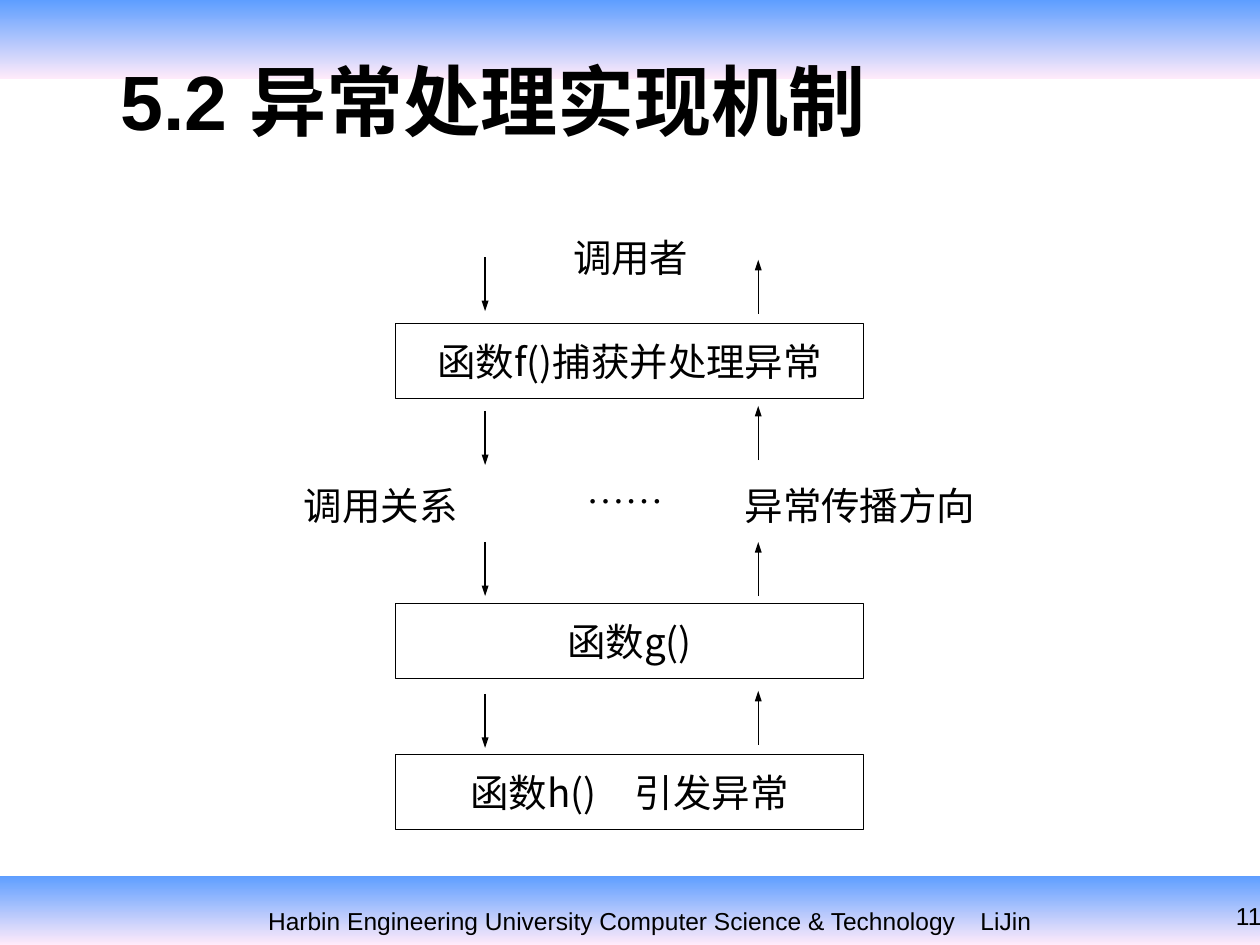
"""Build the slide on how exceptions travel back along a chain of function calls."""
from dataclasses import dataclass

from lxml.etree import SubElement
from pptx import Presentation
from pptx.dml.color import RGBColor
from pptx.enum.shapes import MSO_CONNECTOR, MSO_SHAPE
from pptx.enum.text import MSO_ANCHOR, PP_ALIGN
from pptx.oxml.ns import qn
from pptx.util import Pt


@dataclass(frozen=True)
class Theme:
    ink: RGBColor = RGBColor(0x00, 0x00, 0x00)
    band_top: RGBColor = RGBColor(0x5E, 0x9E, 0xFF)
    band_bottom: RGBColor = RGBColor(0xFF, 0xEB, 0xFA)
    latin: str = "Arial"
    chinese: str = "Noto Sans CJK SC"
    serif: str = "Times New Roman"
    title_size: float = 44
    body_size: float = 22
    footer_size: float = 14
    line_width: float = 0.75


THEME = Theme()
SLIDE_WIDTH, SLIDE_HEIGHT = 720, 540

TITLE = "5.2 异常处理实现机制"
FOOTER = "Harbin Engineering University Computer Science & Technology　LiJin"
PAGE_NUMBER = "11"
BANDS = [(0, 45.3), (500.4, 39.6)]

FUNCTIONS = [
    ("函数f()捕获并处理异常", 185),
    ("函数g()", 345),
    ("函数h()　引发异常", 431.3),
]
LABELS = [
    ("调用者", (298.8, 133.2, 123.1, 28)),
    ("调用关系", (156, 274.5, 123.1, 28)),
    ("异常传播方向", (424.8, 274.5, 133.2, 28)),
]
ELLIPSIS = ("……", (241.2, 262.8, 231.8, 32.4))

BOX_LEFT, BOX_WIDTH, BOX_HEIGHT = 226.2, 267.2, 42.7
CALL_X, CALL_TOPS = 277.2, [146.9, 234.8, 309.7, 396.5]
THROW_X, THROW_TOPS = 433.3, [148.5, 232, 309.8, 394.8]
ARROW_LENGTH = 30.9


def write_text(shape, text, *, size=THEME.body_size, font=THEME.chinese, bold=False,
               align=PP_ALIGN.CENTER, anchor=MSO_ANCHOR.MIDDLE, inset=(0, 0)):
    """Write one formatted paragraph into a shape."""
    frame = shape.text_frame
    frame.word_wrap = True
    frame.vertical_anchor = anchor
    frame.margin_left = frame.margin_right = Pt(inset[0])
    frame.margin_top = frame.margin_bottom = Pt(inset[1])
    paragraph = frame.paragraphs[0]
    paragraph.alignment = align
    run = paragraph.add_run()
    run.text = text
    run.font.size = Pt(size)
    run.font.bold = bold
    run.font.color.rgb = THEME.ink
    run.font.name = font
    east_asian = THEME.serif if font == THEME.serif else THEME.chinese
    SubElement(run.font._element, qn("a:ea"), typeface=east_asian)


def add_text(slide, text, place, **text_format):
    """Add a text box at a place given in points."""
    write_text(slide.shapes.add_textbox(*map(Pt, place)), text, **text_format)


def add_rectangle(slide, place):
    """Add a rectangle without a shadow."""
    shape = slide.shapes.add_shape(MSO_SHAPE.RECTANGLE, *map(Pt, place))
    shape.shadow.inherit = False
    return shape


def add_band(slide, top, height):
    """Add a full-width band with a vertical gradient."""
    band = add_rectangle(slide, (0, top, SLIDE_WIDTH, height))
    band.line.fill.background()
    band.fill.gradient()
    band.fill.gradient_angle = 270
    for stop, position, color in zip(band.fill.gradient_stops, (0, 1),
                                     (THEME.band_top, THEME.band_bottom)):
        stop.position = position
        stop.color.rgb = color


def add_function_box(slide, text, top):
    """Add an outlined box for one function."""
    box = add_rectangle(slide, (BOX_LEFT, top, BOX_WIDTH, BOX_HEIGHT))
    box.fill.background()
    box.line.color.rgb = THEME.ink
    box.line.width = Pt(THEME.line_width)
    write_text(box, text, inset=(7.2, 0))


def add_arrow(slide, x, start, end):
    """Add a vertical arrow pointing at its end."""
    arrow = slide.shapes.add_connector(
        MSO_CONNECTOR.STRAIGHT, Pt(x), Pt(start), Pt(x), Pt(end))
    arrow.line.color.rgb = THEME.ink
    arrow.line.width = Pt(THEME.line_width)
    SubElement(arrow.line._get_or_add_ln(), qn("a:tailEnd"),
               type="triangle", w="sm", len="med")
    SubElement(arrow._element.spPr, qn("a:effectLst"))


def main():
    """Compose and save the slide."""
    presentation = Presentation()
    presentation.slide_width = Pt(SLIDE_WIDTH)
    presentation.slide_height = Pt(SLIDE_HEIGHT)
    slide = presentation.slides.add_slide(presentation.slide_layouts[6])

    for top, height in BANDS:
        add_band(slide, top, height)
    footer_format = dict(size=THEME.footer_size, font=THEME.latin,
                         anchor=MSO_ANCHOR.TOP, inset=(7.2, 3.6))
    add_text(slide, PAGE_NUMBER, (649.4, 511.2, 78.5, 24.5),
             align=PP_ALIGN.RIGHT, **footer_format)
    add_text(slide, FOOTER, (82.1, 514.1, 578.2, 25.9), **footer_format)
    add_text(slide, TITLE, (61.9, 23.8, 637.9, 66.2), size=THEME.title_size,
             font=THEME.latin, bold=True, align=PP_ALIGN.LEFT, inset=(7.2, 3.6))

    for text, top in FUNCTIONS:
        add_function_box(slide, text, top)
    for top in CALL_TOPS:
        add_arrow(slide, CALL_X, top, top + ARROW_LENGTH)
    for top in THROW_TOPS:
        add_arrow(slide, THROW_X, top + ARROW_LENGTH, top)
    for text, place in LABELS:
        add_text(slide, text, place)
    text, place = ELLIPSIS
    add_text(slide, text, place, font=THEME.serif, inset=(7.2, 0))

    presentation.save("out.pptx")


if __name__ == "__main__":
    main()
